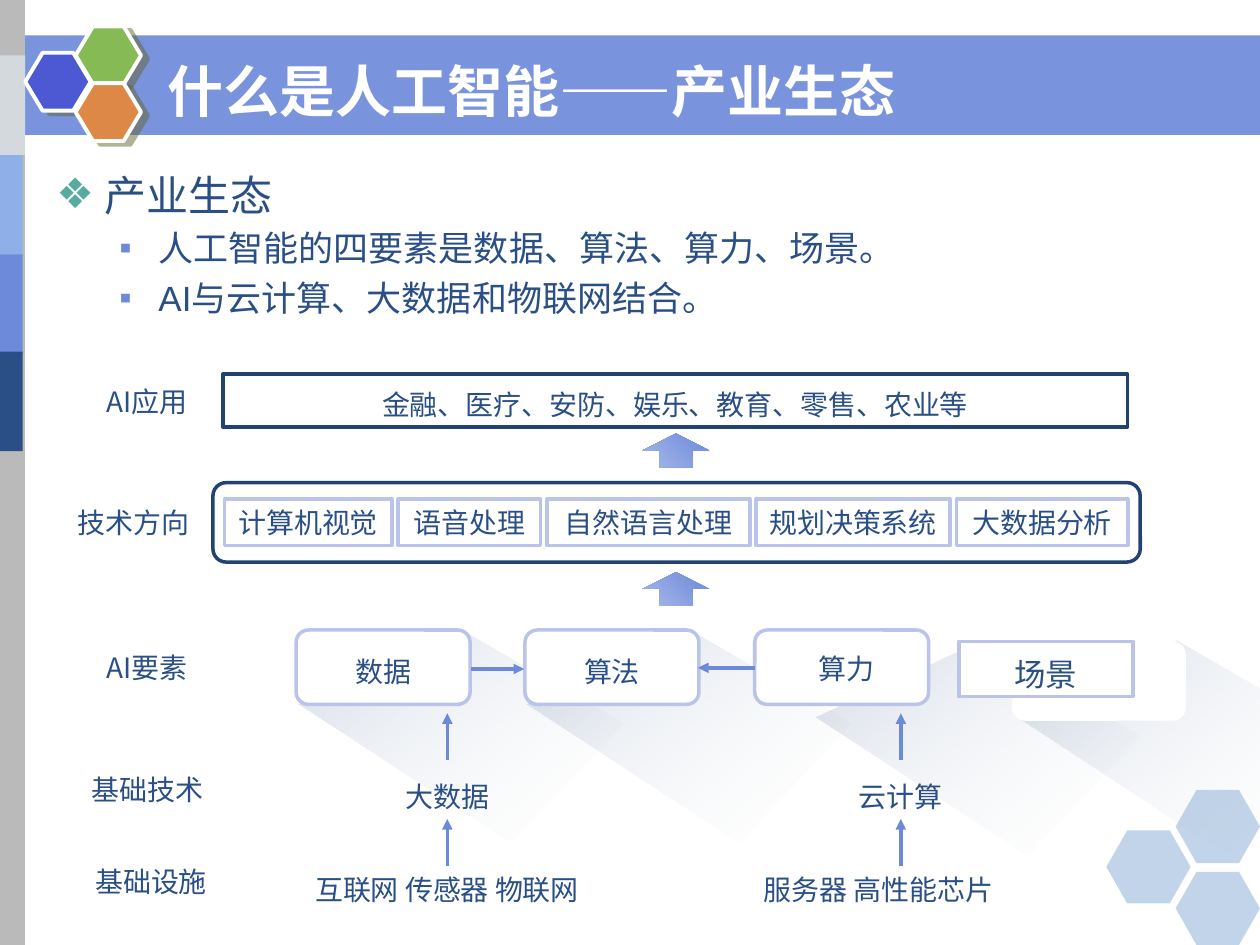
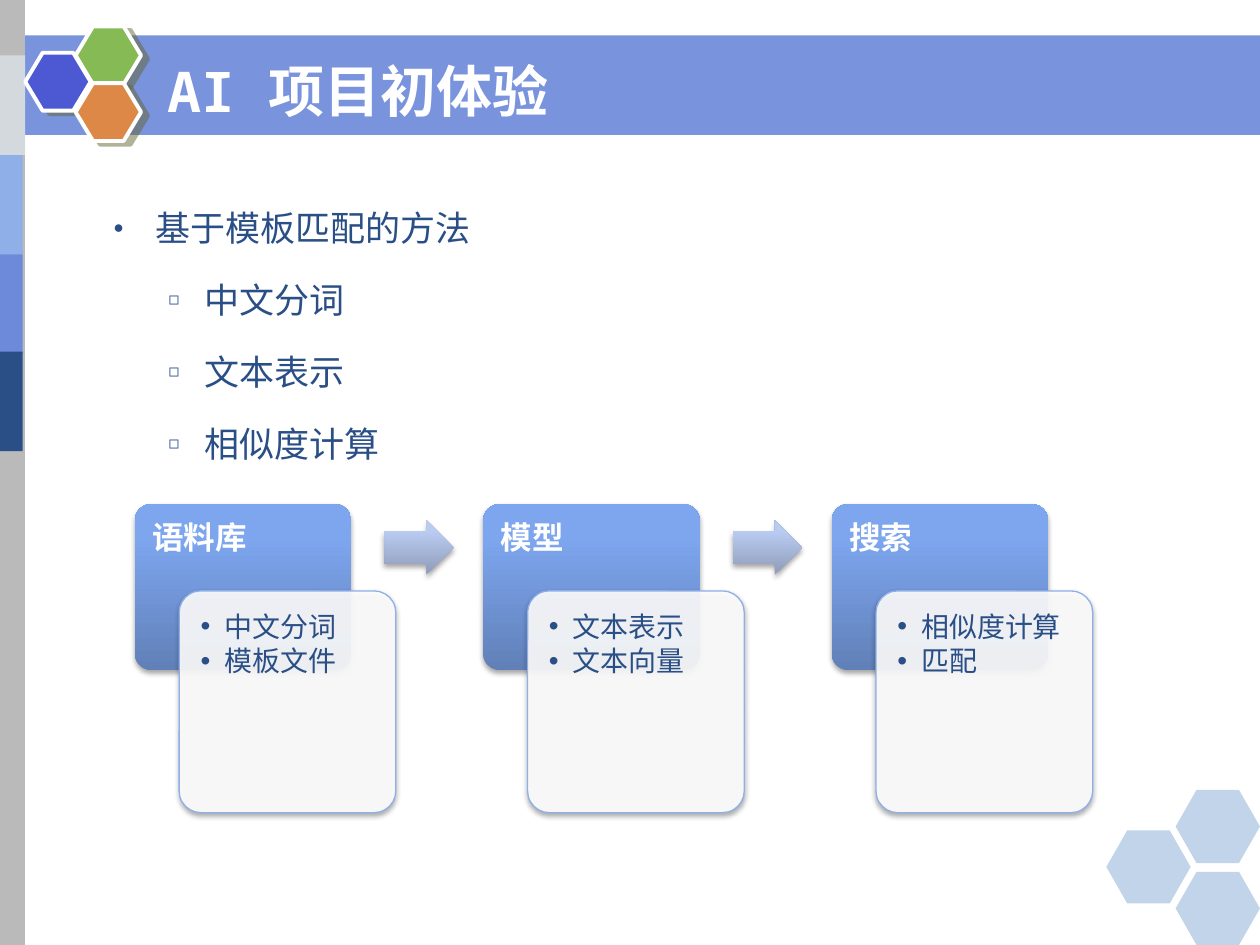
from lxml.etree import SubElement
from pptx import Presentation
from pptx.dml.color import RGBColor
from pptx.enum.shapes import MSO_CONNECTOR, MSO_SHAPE
from pptx.enum.text import MSO_ANCHOR, PP_ALIGN
from pptx.oxml.ns import qn
from pptx.util import Pt

WHITE = RGBColor(0xFF, 0xFF, 0xFF)
NAVY = RGBColor(0x2A, 0x4F, 0x86)
FRAME = RGBColor(0x22, 0x42, 0x72)
BLUE = RGBColor(0x6C, 0x89, 0xDA)
SKY = RGBColor(0x8F, 0xAF, 0xE9)
PALE = RGBColor(0xA7, 0xB8, 0xE9)
LILAC = RGBColor(0xBA, 0xC4, 0xEA)
TEAL = RGBColor(0x57, 0xAB, 0xA0)
GREY = RGBColor(0xBA, 0xBA, 0xBA)
SILVER = RGBColor(0xD3, 0xD9, 0xDD)
MIST = RGBColor(0xF2, 0xF2, 0xF2)
INDIGO = RGBColor(0x4C, 0x59, 0xD2)
GREEN = RGBColor(0x85, 0xBA, 0x54)
ORANGE = RGBColor(0xDE, 0x88, 0x48)
CORNER = RGBColor(0x50, 0x86, 0xC2)
CARD_GRAD = (RGBColor(0x61, 0x80, 0xB8), RGBColor(0x7D, 0xA6, 0xEF))
STEP_GRAD = (RGBColor(0x8F, 0x9C, 0xBA), RGBColor(0xB9, 0xCB, 0xF1))
CJK, MONO, ROBOTO, ARIAL = "Noto Sans CJK SC", "Noto Sans Mono", "Roboto", "Arial"
LINE_HEIGHT = 1.21
HEX_SHADOW = ("666633", 50, 0, 4.5, 27)
CARD_SHADOW = ("000000", 35, 3.1, 1.8, 90)


def style(sp, fill, line=None, width=2, alpha=(), angle=0, end=1, adj=(), shadow=None):
    """Fill with a colour or a pair of gradient colours; alpha is in percent per colour."""
    sp.shadow.inherit = False
    if isinstance(fill, RGBColor):
        sp.fill.solid()
        sp.fill.fore_color.rgb = fill
    else:
        sp.fill.gradient()
        sp.fill.gradient_angle = angle
        for stop, color, position in zip(sp.fill.gradient_stops, fill, (0, end)):
            stop.color.rgb = color
            stop.position = position
    spPr = sp._element.spPr
    for clr, percent in zip(list(spPr.iter(qn("a:srgbClr"))), alpha):
        SubElement(clr, qn("a:alpha"), val=str(percent * 1000))
    if line is None:
        sp.line.fill.background()
    else:
        sp.line.color.rgb = line
        sp.line.width = Pt(width)
    for i, value in enumerate(adj):
        sp.adjustments[i] = value
    if shadow:
        color, percent, blur, dist, direction = shadow
        outer = SubElement(spPr.find(qn("a:effectLst")), qn("a:outerShdw"),
                           blurRad=str(Pt(blur)), dist=str(Pt(dist)),
                           dir=str(direction * 60000), rotWithShape="0")
        clr = SubElement(outer, qn("a:srgbClr"), val=color)
        SubElement(clr, qn("a:alpha"), val=str(percent * 1000))
    return sp


def write(sp, paras, inset=(7.2, 3.6, 7.2, 3.6), anchor=MSO_ANCHOR.TOP, **shared):
    """Write paragraphs; each is a dict of format values on top of the shared ones."""
    tf = sp.text_frame
    tf.word_wrap = True
    tf.vertical_anchor = anchor
    for side, value in zip(("left", "top", "right", "bottom"), inset):
        setattr(tf, "margin_" + side, Pt(value))
    for i, para in enumerate(paras):
        f = {"font": CJK, "size": 16, "color": NAVY, "bold": False, "ls": 1, "level": 0,
             "align": PP_ALIGN.LEFT, "before": 0, "after": 0, **shared, **para}
        p = tf.add_paragraph() if i else tf.paragraphs[0]
        if "bullet" in f:
            pPr = p._p.get_or_add_pPr()
            pPr.set("marL", str(Pt(f["indent"][0])))
            pPr.set("indent", str(-Pt(f["indent"][1])))
            clr = SubElement(pPr, qn("a:buClr"))
            SubElement(clr, qn("a:srgbClr"), val=str(f.get("bullet_color", f["color"])))
            SubElement(pPr, qn("a:buSzPct"), val=str(f.get("bullet_size", 100) * 1000))
            SubElement(pPr, qn("a:buFont"), typeface=ARIAL)
            SubElement(pPr, qn("a:buChar"), char=f["bullet"])
        layout = {"level": f["level"], "alignment": f["align"],
                  "line_spacing": Pt(round(f["size"] * LINE_HEIGHT * f["ls"], 1)),
                  "space_before": Pt(f["before"] if i else 0), "space_after": Pt(f["after"])}
        for name, value in layout.items():
            setattr(p, name, value)
        r = p.add_run()
        r.text = f["text"]
        for name, value in {"size": Pt(f["size"]), "bold": f["bold"], "name": f["font"]}.items():
            setattr(r.font, name, value)
        r.font.color.rgb = f["color"]
        SubElement(r._r.get_or_add_rPr(), qn("a:ea"), typeface=f.get("east", f["font"]))


prs = Presentation()
prs.slide_width, prs.slide_height = Pt(720), Pt(540)

# Shared frame: title band, side strip, hexagons and title
bars = [(0, 20.2, 720, 56.9, BLUE, (91,)), (-0.7, 0, 14.9, 540, GREY, ()),
        (0, 31.7, 14.4, 56.9, SILVER, ())]
bars += [(-1.4, y, 14.4, 56.9, color, ())
         for y, color in ((88.6, SKY), (145.4, BLUE), (200.9, NAVY))]
badge = [(14.4, 30.2, INDIGO), (43.2, 15.1, GREEN), (43.2, 47.5, ORANGE)]
corner = [(632.2, 474.5), (671.8, 451.4), (671.8, 498.2)]

slides = []
for title in ("什么是人工智能——产业生态", "AI 项目初体验"):
    s = prs.slides.add_slide(prs.slide_layouts[6])
    slides.append(s)
    for x, y, w, h, color, alpha in bars:
        style(s.shapes.add_shape(MSO_SHAPE.RECTANGLE, Pt(x), Pt(y), Pt(w), Pt(h)),
              color, alpha=alpha)
    for x, y, color in badge:
        style(s.shapes.add_shape(MSO_SHAPE.HEXAGON, Pt(x), Pt(y), Pt(37.4), Pt(33.1)),
              color, WHITE, 2.25, adj=(0.3,), shadow=HEX_SHADOW)
    for x, y in corner:
        style(s.shapes.add_shape(MSO_SHAPE.HEXAGON, Pt(x), Pt(y), Pt(48.2), Pt(41.8)),
              CORNER, alpha=(35,), adj=(0.286,))
    write(s.shapes.add_textbox(Pt(87.8), Pt(25.9), Pt(580.3), Pt(50.4)), [{"text": title}],
          inset=(7.9, 4.3, 7.9, 4.3), anchor=MSO_ANCHOR.MIDDLE,
          font=MONO, east=CJK, size=32, color=WHITE, bold=True)

# Slide 1: introduction
s = slides[0]
sub = {"size": 20, "level": 1, "indent": (58.3, 22.3), "before": 4,
       "bullet": "▪", "bullet_color": BLUE}
write(s.shapes.add_textbox(Pt(25.2), Pt(92.9), Pt(667.4), Pt(96.5)),
      [{"text": "产业生态", "size": 24, "indent": (27.4, 27.4),
        "bullet": "❖", "bullet_color": TEAL},
       {"text": "人工智能的四要素是数据、算法、算力、场景。", **sub},
       {"text": "AI与云计算、大数据和物联网结合。", **sub, "font": ARIAL}],
      font=ROBOTO, east=ROBOTO)

# Applications and technical directions
style(s.shapes.add_shape(MSO_SHAPE.ROUNDED_RECTANGLE, Pt(121.7), Pt(275.8), Pt(529.9), Pt(45.4)),
      WHITE, FRAME)
sp = s.shapes.add_shape(MSO_SHAPE.RECTANGLE, Pt(127.4), Pt(213.8), Pt(517), Pt(30.2))
write(style(sp, WHITE, FRAME), [{"text": "金融、医疗、安防、娱乐、教育、零售、农业等"}],
      ls=1.2, align=PP_ALIGN.CENTER)
x = 128.2
for text, w in (("计算机视觉", 95.8), ("语音处理", 81.4), ("自然语言处理", 115.9),
                ("规划决策系统", 110.9), ("大数据分析", 97.9)):
    sp = s.shapes.add_shape(MSO_SHAPE.RECTANGLE, Pt(x), Pt(285.1), Pt(w), Pt(26.6))
    write(style(sp, WHITE, LILAC), [{"text": text}], inset=(0, 3.6, 0, 3.6),
          align=PP_ALIGN.CENTER)
    x += w + 3.6

# AI elements, each on a long fading shadow
elements = [("数据", 170.6, 402.5, 169.2, 366.5), ("算法", 301, 402.5, 300, 366.5),
            ("算力", 465.8, 409.7, 434.2, 365), ("场景", 579.6, 409, 547.9, 366.5)]
for text, shade_x, shade_y, x, text_y in elements:
    corners = [(Pt(shade_x + dx), Pt(shade_y + dy))
               for dx, dy in ((0, 0), (92.9, -42.7), (185.8, 10.8), (121.3, 79.2))]
    shade = s.shapes.build_freeform(*corners[0])
    shade.add_line_segments(corners[1:], close=True)
    style(shade.convert_to_shape(), (NAVY, MIST), alpha=(20, 0), angle=310)
    if text == "场景":
        style(s.shapes.add_shape(MSO_SHAPE.ROUNDED_RECTANGLE, Pt(578.2), Pt(366.5),
                                 Pt(99.4), Pt(45.4)), WHITE)
        sp = s.shapes.add_shape(MSO_SHAPE.RECTANGLE, Pt(x), Pt(text_y), Pt(99.4), Pt(31.7))
        style(sp, WHITE, LILAC)
    else:
        box_x = 431.3 if text == "算力" else x
        style(s.shapes.add_shape(MSO_SHAPE.ROUNDED_RECTANGLE, Pt(box_x), Pt(360),
                                 Pt(99.4), Pt(42.5)), WHITE, LILAC)
        sp = s.shapes.add_textbox(Pt(x), Pt(text_y), Pt(99.4), Pt(30.2))
    write(sp, [{"text": text}], size=18 if text == "场景" else 16, ls=1.2,
          align=PP_ALIGN.CENTER)

# Basic technology, facilities and row labels
captions = [("大数据", 127.4, 437.8, 256.3, 1.2), ("云计算", 386.6, 437.8, 256.3, 1.2),
            ("互联网 传感器 物联网", 127.4, 491, 256.3, 1.2),
            ("服务器 高性能芯片", 386.6, 491, 231.1, 1.2),
            ("基础设施", 46.8, 490.3, 79.2, 1), ("基础技术", 44.6, 437.8, 79.2, 1),
            ("AI要素", 51.8, 367.9, 64.1, 1), ("技术方向", 36.7, 285.1, 79.2, 1),
            ("AI应用", 51.8, 216, 64.1, 1)]
for text, x, y, w, ls in captions:
    write(s.shapes.add_textbox(Pt(x), Pt(y), Pt(w), Pt(28)), [{"text": text}],
          ls=ls, align=PP_ALIGN.CENTER)

# Block arrows and connectors
for y in (326.9, 247.7):
    style(s.shapes.add_shape(MSO_SHAPE.UP_ARROW, Pt(367.2), Pt(y), Pt(38.2), Pt(19.4)),
          (BLUE, PALE), angle=225)
arrows = [(431.3, 381.6, 398.9, 381.6), (269.3, 382.3, 299.5, 382.3)]
arrows += [(x, y, x, y - 26.6) for x in (255.6, 514.8) for y in (494.6, 434.2)]
for x1, y1, x2, y2 in arrows:
    c = s.shapes.add_connector(MSO_CONNECTOR.STRAIGHT, Pt(x1), Pt(y1), Pt(x2), Pt(y2))
    c.line.color.rgb = BLUE
    c.line.width = Pt(2)
    SubElement(c.line._get_or_add_ln(), qn("a:tailEnd"), type="triangle")
    SubElement(c._element.spPr, qn("a:effectLst"))

# Slide 2: method outline
s = slides[1]
steps = [{"text": text, "level": 1, "indent": (51.8, 20.2), "bullet": "◻", "before": 7.2}
         for text in ("中文分词", "文本表示", "相似度计算")]
write(s.shapes.add_textbox(Pt(59.8), Pt(105.8), Pt(301), Pt(136.1)),
      [{"text": "基于模板匹配的方法", "indent": (23.8, 23.8), "bullet": "●"}] + steps,
      inset=(5, 2.2, 5, 2.2), font=MONO, east=CJK, size=20, ls=1.4, bullet_size=50)

# Process cards
cards = [("语料库", ("中文分词", "模板文件")), ("模型", ("文本表示", "文本向量")),
         ("搜索", ("相似度计算", "匹配"))]
for i, (head, items) in enumerate(cards):
    x = 77 + i * 199.1
    style(s.shapes.add_shape(MSO_SHAPE.ROUNDED_RECTANGLE, Pt(x), Pt(288), Pt(123.8), Pt(95)),
          CARD_GRAD, angle=90, end=0.8, adj=(0.1,), shadow=CARD_SHADOW)
    write(s.shapes.add_textbox(Pt(x), Pt(288), Pt(123.8), Pt(49.7)), [{"text": head}],
          inset=(10.1, 10.1, 10.1, 5), font=ARIAL, east=CJK, size=18, color=WHITE,
          bold=True, ls=0.9)
    style(s.shapes.add_shape(MSO_SHAPE.ROUNDED_RECTANGLE, Pt(x + 25.4), Pt(337.7),
                             Pt(123.8), Pt(126.7)),
          WHITE, SKY, 0.75, alpha=(90,), adj=(0.1,), shadow=CARD_SHADOW)
    write(s.shapes.add_textbox(Pt(x + 29), Pt(341.3), Pt(116.6), Pt(119.5)),
          [{"text": item} for item in items], inset=(8.6, 8.6, 8.6, 8.6), font=ARIAL,
          east=CJK, ls=0.9, after=2.4, level=1, bullet="•", indent=(13.7, 13.7))
    if i < len(cards) - 1:
        style(s.shapes.add_shape(MSO_SHAPE.RIGHT_ARROW, Pt(x + 142.6), Pt(297.4),
                                 Pt(39.6), Pt(31)),
              STEP_GRAD, angle=90, end=0.8, adj=(0.6, 0.5), shadow=CARD_SHADOW)

prs.save("out.pptx")
